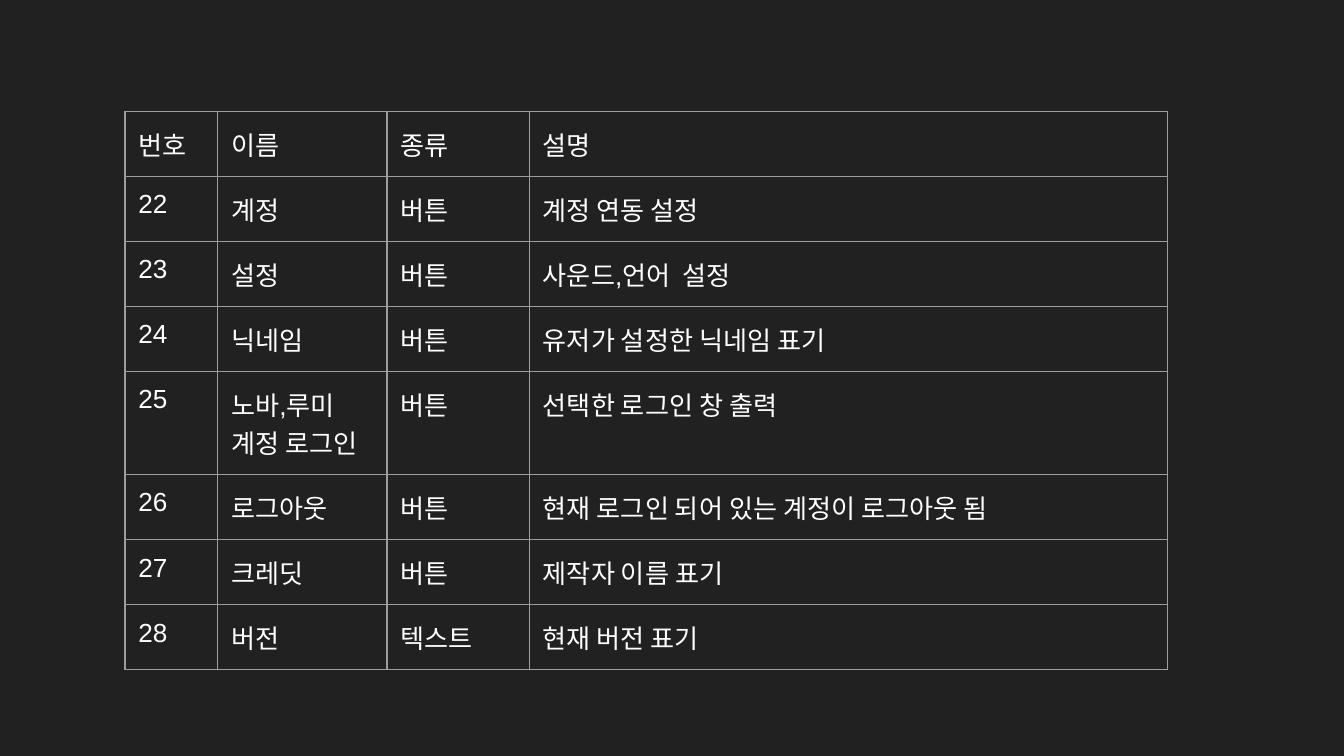
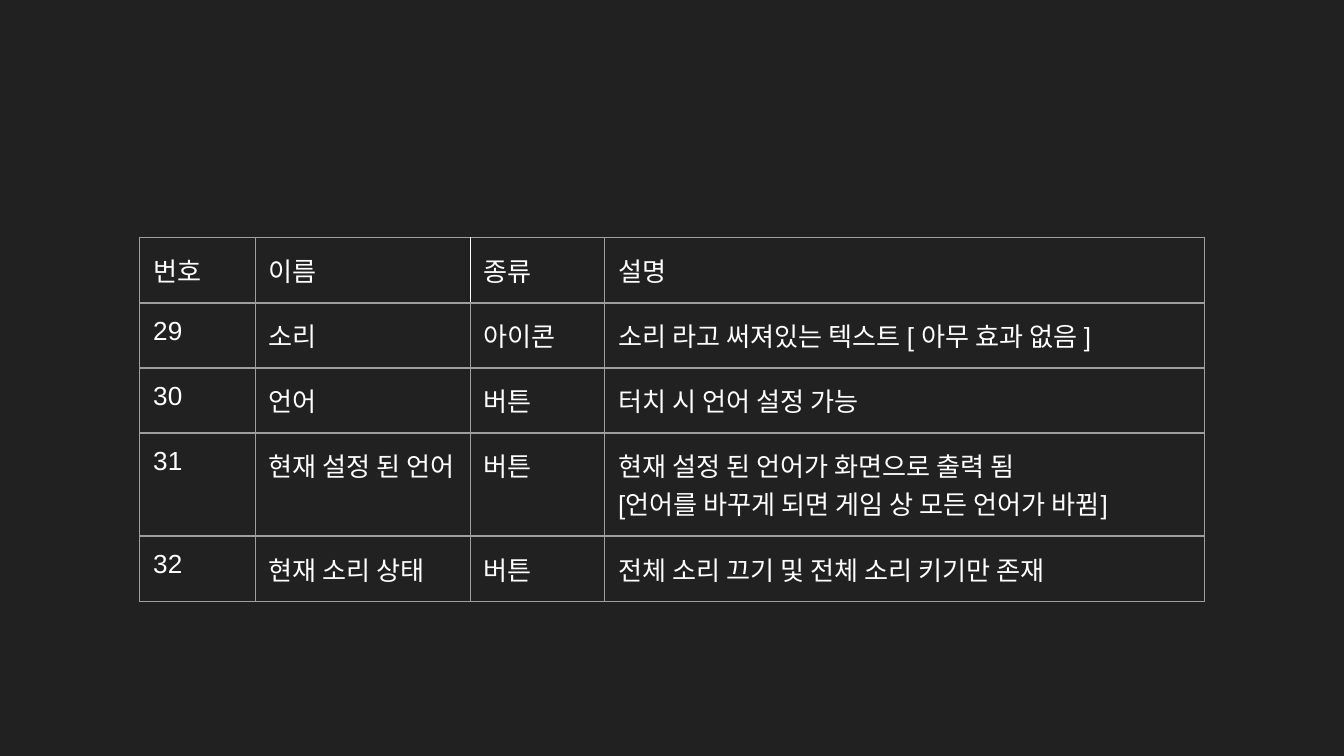
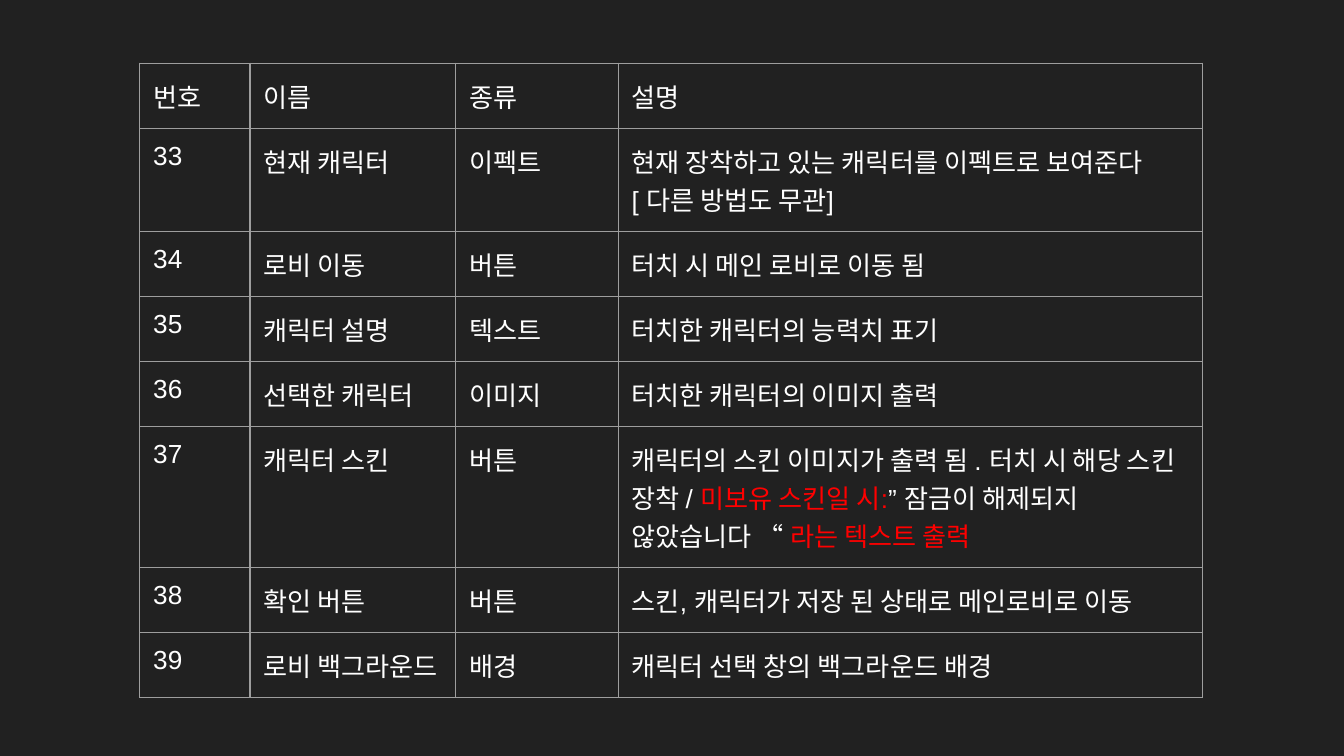
from lxml import etree
from pptx import Presentation
from pptx.dml.color import RGBColor
from pptx.oxml import ns
from pptx.util import Inches, Pt

BACKGROUND = RGBColor(0x21, 0x21, 0x21)
GRID = RGBColor(0x9E, 0x9E, 0x9E)
WHITE = RGBColor(0xFF, 0xFF, 0xFF)
RED = RGBColor(0xFF, 0x00, 0x00)

TEXT = {"name": "Arial", "size": Pt(14)}
MARGINS = dict.fromkeys(
    ("margin_left", "margin_top", "margin_right", "margin_bottom"), Inches(0.1))
SIDES = ("L", "R", "T", "B")
HEADER = ("번호", "이름", "종류", "설명")
ROW_HEIGHT = 0.42


def set_borders(cell, colors):
    """Draw the four cell borders, in the given colour for each side."""
    tcPr = cell._tc.get_or_add_tcPr()
    for i, side in enumerate(SIDES):
        ln = etree.Element(ns.qn(f"a:ln{side}"), w=str(Pt(0.75)))
        fill = etree.SubElement(ln, ns.qn("a:solidFill"))
        etree.SubElement(fill, ns.qn("a:srgbClr"), val=str(colors.get(side, GRID)))
        tcPr.insert(i, ln)


def add_text(p, content, color):
    """Add a run with the shared text format."""
    r = p.add_run()
    r.text = content
    for name, value in TEXT.items():
        setattr(r.font, name, value)
    r.font.color.rgb = color


# Each row is name, kind, description; a description may be a list of
# paragraphs, and a paragraph a tuple of (text, colour) runs.
tables = [
    {
        "left": 0.93, "top": 0.83, "cols": (0.69, 1.26, 1.06, 4.75),
        "first": 22, "tall": {4: 0.64}, "borders": {},
        "rows": [
            ("계정", "버튼", "계정 연동 설정"),
            ("설정", "버튼", "사운드,언어  설정"),
            ("닉네임", "버튼", "유저가 설정한 닉네임 표기"),
            ("노바,루미 계정 로그인", "버튼", "선택한 로그인 창 출력"),
            ("로그아웃", "버튼", "현재 로그인 되어 있는 계정이 로그아웃 됨"),
            ("크레딧", "버튼", "제작자 이름 표기"),
            ("버전", "텍스트", "현재 버전 표기"),
        ],
    },
    {
        "left": 1.04, "top": 1.77, "cols": (0.86, 1.6, 1, 4.46),
        "first": 29, "tall": {},
        "borders": {(0, 1): {"R": WHITE}, (0, 2): {"L": WHITE}},
        "rows": [
            ("소리", "아이콘", "소리 라고 써져있는 텍스트 [ 아무 효과 없음 ]"),
            ("언어", "버튼", "터치 시 언어 설정 가능"),
            ("현재 설정 된 언어", "버튼",
             ["현재 설정 된 언어가 화면으로 출력 됨",
              "[언어를 바꾸게 되면 게임 상 모든 언어가 바뀜]"]),
            ("현재 소리 상태", "버튼", "전체 소리 끄기 및 전체 소리 키기만 존재"),
        ],
    },
    {
        "left": 1.04, "top": 0.47, "cols": (0.82, 1.53, 1.21, 4.35),
        "first": 33, "tall": {4: 0.46}, "borders": {},
        "rows": [
            ("현재 캐릭터", "이펙트",
             "현재 장착하고 있는 캐릭터를 이펙트로 보여준다[ 다른 방법도 무관]"),
            ("로비 이동", "버튼", "터치 시 메인 로비로 이동 됨"),
            ("캐릭터 설명", "텍스트", "터치한 캐릭터의 능력치 표기"),
            ("선택한 캐릭터", "이미지", "터치한 캐릭터의 이미지 출력"),
            ("캐릭터 스킨", "버튼",
             [(("캐릭터의 스킨 이미지가 출력 됨 . 터치 시 해당 스킨 장착 / ", WHITE),
               ("미보유 스킨일 시:", RED),
               ("” 잠금이 해제되지 않았습니다 “ ", WHITE),
               ("라는 텍스트 출력", RED))]),
            ("확인 버튼", "버튼", "스킨, 캐릭터가 저장 된 상태로 메인로비로 이동"),
            ("로비 백그라운드", "배경", "캐릭터 선택 창의 백그라운드 배경"),
        ],
    },
]

prs = Presentation()
prs.slide_width, prs.slide_height = Inches(10), Inches(5.625)

for t in tables:
    # Dark slide
    s = prs.slides.add_slide(prs.slide_layouts[6])
    s.background.fill.solid()
    s.background.fill.fore_color.rgb = BACKGROUND

    # Table frame, column widths and row heights
    rows = [HEADER] + [(str(n), *row) for n, row in enumerate(t["rows"], t["first"])]
    heights = [t["tall"].get(i, ROW_HEIGHT) for i in range(len(rows))]
    table = s.shapes.add_table(
        len(rows), len(HEADER), Inches(t["left"]), Inches(t["top"]),
        Inches(sum(t["cols"])), Inches(sum(heights))).table
    table.first_row = table.horz_banding = False
    for column, width in zip(table.columns, t["cols"]):
        column.width = Inches(width)
    for row, height in zip(table.rows, heights):
        row.height = Inches(height)

    # Cells
    for i, row in enumerate(rows):
        for j, content in enumerate(row):
            cell = table.cell(i, j)
            for name, value in MARGINS.items():
                setattr(cell, name, value)
            cell.fill.background()
            set_borders(cell, t["borders"].get((i, j), {}))
            tf = cell.text_frame
            paragraphs = [content] if isinstance(content, str) else content
            for k, paragraph in enumerate(paragraphs):
                p = tf.add_paragraph() if k else tf.paragraphs[0]
                runs = [(paragraph, WHITE)] if isinstance(paragraph, str) else paragraph
                for words, color in runs:
                    add_text(p, words, color)

prs.save("out.pptx")
